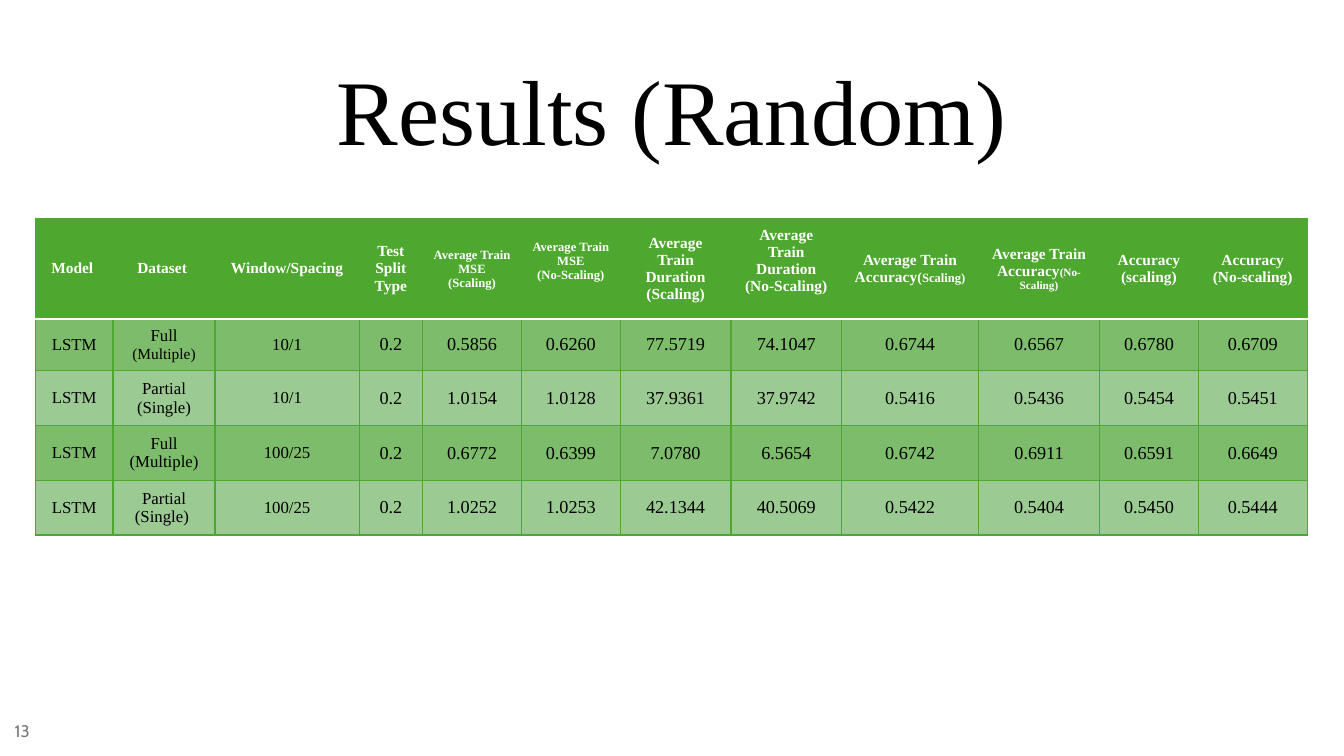
from lxml import etree
from pptx import Presentation
from pptx.dml.color import RGBColor
from pptx.enum import text
from pptx.oxml import ns
from pptx.util import Cm, Pt

GREEN = RGBColor(0x4E, 0xA7, 0x2E)
DARK = RGBColor(0x7D, 0xBC, 0x6B)
LIGHT = RGBColor(0x9B, 0xCA, 0x92)
WHITE = RGBColor(0xFF, 0xFF, 0xFF)
BLACK = RGBColor(0, 0, 0)
GREY = RGBColor(0x79, 0x79, 0x79)
SERIF = "Times New Roman"

WIDTHS = [1.96, 2.57, 3.63, 1.6, 2.49, 2.49, 2.79, 2.79, 3.45, 3.05, 2.49, 2.74]
HEIGHTS = [2.44, 1.31, 1.38, 1.38, 1.38]

# Each cell is a list of paragraphs, each paragraph a list of (text, size) runs.
HEADS = [
    [[("Model ", 11)]],
    [[("Dataset ", 11)]],
    [[("Window/Spacing", 11)]],
    [[("Test Split Type", 11)]],
    [[("Average Train MSE", 9)], [("(Scaling)", 9)]],
    [[("Average Train MSE", 9)], [("(No-Scaling)", 9)]],
    [[("Average Train Duration (Scaling)", 11)]],
    [[("Average Train Duration (No-Scaling)", 11)]],
    [[("Average Train Accuracy", 11), ("(", 10), ("Scaling)", 9)]],
    [[("Average Train Accuracy", 11), ("(No-Scaling)", 8)]],
    [[("Accuracy", 11)], [("(scaling)", 11)]],
    [[("Accuracy", 11)], [("(No-scaling)", 11)]],
]
RAISED = {5: 0.36, 7: 0.4}  # extra bottom margin of header cells, by column

ROWS = [
    ([("Full ", 12), ("(Multiple)", 11)], "10/1",
     "0.5856 0.6260 77.5719 74.1047 0.6744 0.6567 0.6780 0.6709"),
    ([("Partial (Single)", 12)], "10/1",
     "1.0154 1.0128 37.9361 37.9742 0.5416 0.5436 0.5454 0.5451"),
    ([("Full (Multiple)", 12)], "100/25",
     "0.6772 0.6399 7.0780 6.5654 0.6742 0.6911 0.6591 0.6649"),
    ([("Partial (Single) ", 12)], "100/25",
     "1.0252 1.0253 42.1344 40.5069 0.5422 0.5404 0.5450 0.5444"),
]


def write(frame, paras, color, font=SERIF, bold=False, lead=None):
    """Fill a text frame with centred paragraphs of (text, size) runs."""
    for i, runs in enumerate(paras):
        para = frame.add_paragraph() if i else frame.paragraphs[0]
        para.alignment = text.PP_ALIGN.CENTER
        para.line_spacing = lead
        for words, size in runs:
            run = para.add_run()
            run.text = words
            run.font.name = font
            run.font.size = Pt(size)
            run.font.bold = bold
            run.font.color.rgb = color


def edge(cell, side, color, width):
    """Draw one border of a cell; call for L, R, T, B in this order."""
    props = cell._tc.get_or_add_tcPr()
    line = etree.SubElement(props, ns.qn("a:ln" + side), w=str(Pt(width)))
    fill = etree.SubElement(line, ns.qn("a:solidFill"))
    etree.SubElement(fill, ns.qn("a:srgbClr"), val=str(color))


def label(slide, box, words, size, color, font, lead=None):
    frame = slide.shapes.add_textbox(*map(Cm, box)).text_frame
    frame.word_wrap = True
    frame.vertical_anchor = text.MSO_ANCHOR.MIDDLE
    frame.margin_left = frame.margin_right = 0
    write(frame, [[(words, size)]], color, font, lead=lead)


def grid(slide, left, top):
    table = slide.shapes.add_table(
        len(HEIGHTS), len(WIDTHS), Cm(left), Cm(top),
        Cm(sum(WIDTHS)), Cm(sum(HEIGHTS))).table
    table.horz_banding = False
    for col, width in zip(table.columns, WIDTHS):
        col.width = Cm(width)
    for row, height in zip(table.rows, HEIGHTS):
        row.height = Cm(height)

    body = [[[[("LSTM", 12)]], [data], [[(window, 12)]], [[("0.2", 13)]]]
            + [[[(score, 13)]] for score in scores.split()]
            for data, window, scores in ROWS]
    for r, cells in enumerate([HEADS] + body):
        head = r == 0
        for c, paras in enumerate(cells):
            cell = table.cell(r, c)
            cell.vertical_anchor = text.MSO_ANCHOR.MIDDLE
            cell.margin_left = cell.margin_right = Cm(0.25)
            cell.margin_top = Cm(0.13)
            cell.margin_bottom = Cm(0.13 + (RAISED.get(c, 0) if head else 0))
            for side in "LRTB":
                split = (r, side) in ((0, "B"), (1, "T"))
                edge(cell, side, WHITE if split else GREEN, 1.5 if split else 1)
            cell.fill.solid()
            cell.fill.fore_color.rgb = GREEN if head else DARK if r % 2 else LIGHT
            write(cell.text_frame, paras, WHITE if head else BLACK, bold=head)


def main():
    deck = Presentation()
    deck.slide_width, deck.slide_height = Cm(33.87), Cm(19.05)
    slide = deck.slides.add_slide(deck.slide_layouts[6])
    label(slide, (1.78, 1.17, 30.3, 3.48), "Results (Random)", 66, BLACK, SERIF, 0.9)
    grid(slide, 0.89, 5.51)
    label(slide, (0, 17.91, 1.12, 1.02), "13", 12, GREY, "Cabin")
    deck.save("out.pptx")


if __name__ == "__main__":
    main()
